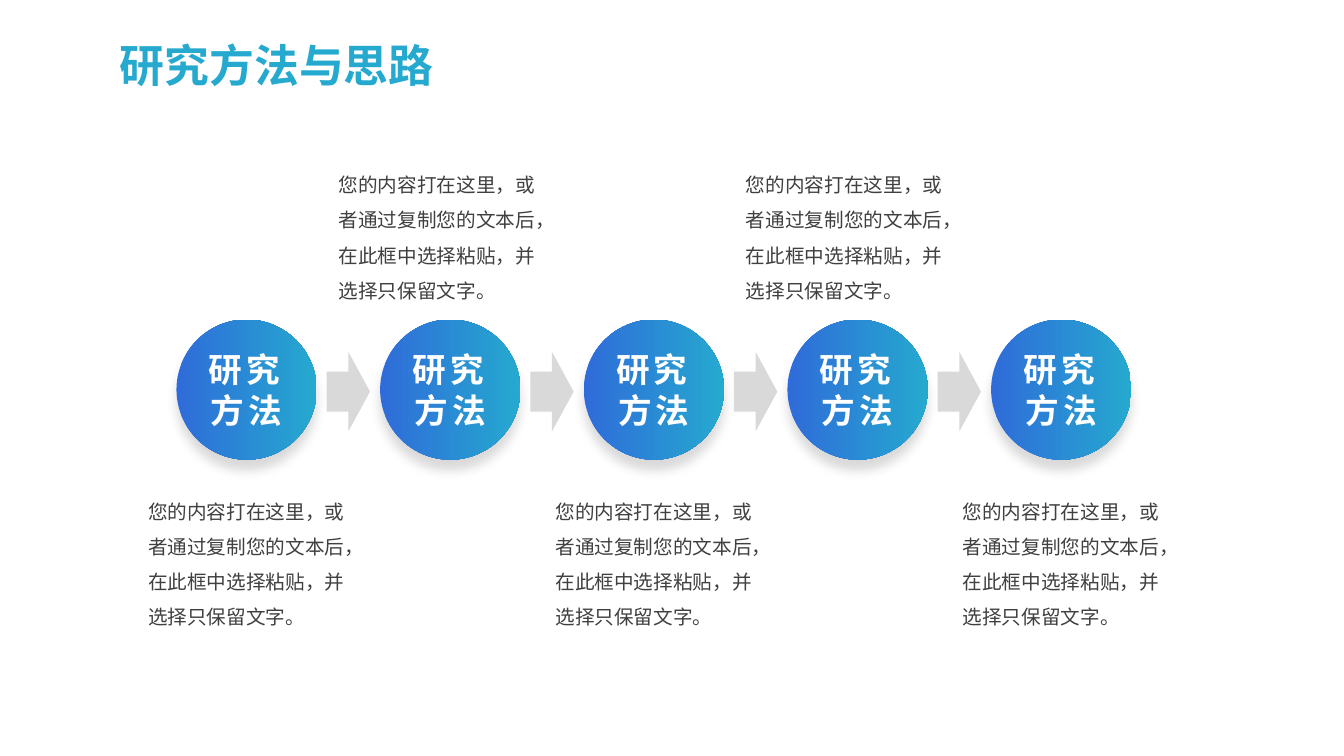
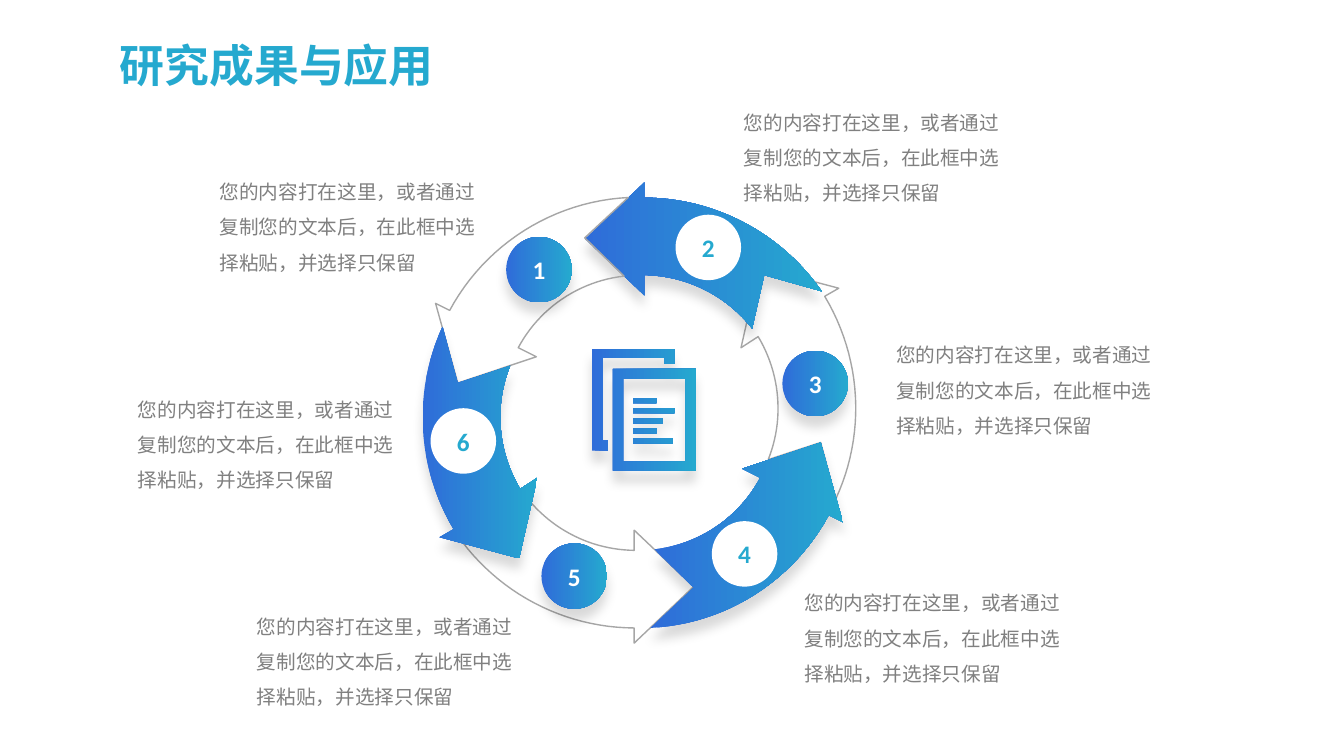
from dataclasses import dataclass, field
from math import atan2, cos, hypot, pi, sin, tau

from lxml.etree import SubElement
from pptx import Presentation
from pptx.dml.color import RGBColor
from pptx.enum.lang import MSO_LANGUAGE_ID as Language
from pptx.enum.shapes import MSO_SHAPE as Preset
from pptx.enum.text import MSO_ANCHOR as Anchor, MSO_AUTO_SIZE as AutoSize, PP_ALIGN as Align
from pptx.oxml.ns import qn
from pptx.util import Emu, Pt

Point = tuple[float, float]

PX = 9144  # EMU in one px, 100 px to the inch
BLUE, TEAL, WHITE = "2F6CD9", "25A9CF", "FFFFFF"
DARK, MID, OUTLINE, PALE = "404040", "808080", "A6A6A6", "D9D9D9"
CJK, LATIN = "Noto Sans CJK SC", "Calibri"


@dataclass(frozen=True)
class TextStyle:
    color: str
    font: dict
    paragraph: dict = field(default_factory=dict)
    frame: dict = field(default_factory=dict)
    tracking: int = 0  # hundredths of a point


GROW = {"auto_size": AutoSize.SHAPE_TO_FIT_TEXT}
CENTERED = {"alignment": Align.CENTER}
IN_CIRCLE = {"vertical_anchor": Anchor.MIDDLE, "word_wrap": True, "margin_left": 0,
             "margin_right": 0, "margin_top": 0, "margin_bottom": 0}
BODY_FONT = {"size": Pt(14), "name": CJK}
BODY_FRAME = GROW | {"word_wrap": True}
BADGE_FONT = {"size": Pt(18), "name": LATIN, "bold": True}

TITLE = TextStyle(TEAL, {"size": Pt(32), "name": CJK, "bold": True},
                  frame=GROW | {"word_wrap": False})
STEP = TextStyle(WHITE, {"size": Pt(24), "name": CJK, "bold": True},
                 CENTERED, IN_CIRCLE, tracking=300)
STEP_BODY = TextStyle(DARK, BODY_FONT, {"line_spacing": 1.5}, BODY_FRAME)
RING_BODY = TextStyle(MID, BODY_FONT, {"line_spacing": 1.5}, BODY_FRAME)
BADGE_ON_WHITE = TextStyle(WHITE, BADGE_FONT, CENTERED, IN_CIRCLE)
BADGE_ON_BLUE = TextStyle(TEAL, BADGE_FONT, CENTERED, IN_CIRCLE)

STEP_TEXT = "您的内容打在这里，或者通过复制您的文本后，在此框中选择粘贴，并选择只保留文字。"
RING_TEXT = "您的内容打在这里，或者通过复制您的文本后，在此框中选择粘贴，并选择只保留"

STEP_COUNT, STEP_LEFT, STEP_PITCH = 5, 175, 202
RING_CENTER: Point = (634, 409.5)
ARC_STEPS = 24


@dataclass(frozen=True)
class RingArrow:
    """Corners of a curved arrow, counter-clockwise from the tail's outer corner."""
    outer_tail: Point
    outer_neck: Point
    outer_barb: Point
    tip: Point
    inner_barb: Point
    inner_neck: Point
    inner_tail: Point
    notch: Point

    def outline(self) -> list[Point]:
        return [*arc(self.outer_tail, self.outer_neck), self.outer_barb, self.tip,
                self.inner_barb, *arc(self.inner_neck, self.inner_tail), self.notch]


@dataclass(frozen=True)
class RingItem:
    number: int
    badge: tuple[int, int]
    note: tuple[int, int]

    @property
    def filled(self) -> bool:
        return self.number % 2 == 0


RING_ARROWS = {
    1: RingArrow((623, 196), (446, 308), (432, 301), (454, 380),
                 (532, 354), (514, 345), (619, 274), (580, 236)),
    2: RingArrow((815, 289), (639, 196), (639, 181), (580, 237),
                 (639, 293), (639, 273), (746, 326), (758, 273)),
    3: RingArrow((829, 495), (818, 294), (832, 286), (753, 265),
                 (735, 345), (752, 334), (762, 456), (814, 439)),
}
RING_ITEMS = [  # back to front
    RingItem(3, (776, 348), (879, 324)),
    RingItem(2, (670, 213), (728, 93)),
    RingItem(5, (537, 539), (245, 593)),
    RingItem(1, (502, 235), (208, 162)),
    RingItem(4, (706, 517), (788, 570)),
    RingItem(6, (427, 405), (127, 378)),
]


def px(*lengths: float) -> list[Emu]:
    return [Emu(round(length * PX)) for length in lengths]


def rgb(color: str) -> RGBColor:
    return RGBColor.from_string(color)


def arc(start: Point, end: Point) -> list[Point]:
    """Points around the ring's centre, turning the shorter way."""
    center_x, center_y = RING_CENTER
    (angle, radius), (end_angle, end_radius) = [
        (atan2(y - center_y, x - center_x), hypot(x - center_x, y - center_y))
        for x, y in (start, end)]
    turn = (end_angle - angle + pi) % tau - pi
    points = []
    for step in range(ARC_STEPS + 1):
        share = step / ARC_STEPS
        reach = radius + share * (end_radius - radius)
        points.append((center_x + reach * cos(angle + share * turn),
                       center_y + reach * sin(angle + share * turn)))
    return points


def opposite(points: list[Point]) -> list[Point]:
    """The points turned half a circle about the ring's centre."""
    center_x, center_y = RING_CENTER
    return [(2 * center_x - x, 2 * center_y - y) for x, y in points]


def box(left: int, top: int, width: int, height: int) -> list[Point]:
    right, bottom = left + width, top + height
    return [(left, top), (left, bottom), (right, bottom), (right, top)]


def set_all(target, values: dict) -> None:
    for name, value in values.items():
        setattr(target, name, value)


def write(shape, text: str, style: TextStyle) -> None:
    set_all(shape.text_frame, style.frame)
    paragraph = shape.text_frame.paragraphs[0]
    set_all(paragraph, style.paragraph)
    run = paragraph.add_run()
    run.text = text
    set_all(run.font, style.font)
    run.font.language_id = Language.SIMPLIFIED_CHINESE
    run.font.color.rgb = rgb(style.color)
    properties = run.font._element
    if style.tracking:
        properties.set("spc", str(style.tracking))
    SubElement(properties, qn("a:ea"), typeface=style.font["name"])


def add_text(slide, left: int, top: int, width: int, height: int,
             text: str, style: TextStyle) -> None:
    write(slide.shapes.add_textbox(*px(left, top, width, height)), text, style)


def paint(shape, fill: str | None = None, line: str | None = None) -> None:
    shape.shadow.inherit = False
    if fill:
        shape.fill.solid()
        shape.fill.fore_color.rgb = rgb(fill)
    else:
        shape.fill.background()
    if line:
        shape.line.color.rgb = rgb(line)
        shape.line.width = Pt(1)
    else:
        shape.line.fill.background()


def paint_gradient(shape) -> None:
    """Blue to teal from left to right, with a soft shadow below."""
    paint(shape)
    shape.fill.gradient()
    shape.fill.gradient_angle = 0
    for stop, color in zip(shape.fill.gradient_stops, (BLUE, TEAL)):
        stop.color.rgb = rgb(color)
    effects = shape.element.spPr.find(qn("a:effectLst"))
    shadow = SubElement(effects, qn("a:outerShdw"), blurRad=str(Pt(8)), dist=str(Pt(8)),
                        dir="5400000", algn="t", rotWithShape="0")
    shadow_color = SubElement(shadow, qn("a:srgbClr"), val="000000")
    SubElement(shadow_color, qn("a:alpha"), val="15000")


def add_preset(slide, preset: Preset, left: int, top: int, width: int, height: int):
    return slide.shapes.add_shape(preset, *px(left, top, width, height))


def add_outline(slide, *contours: list[Point]):
    """One freeform made of closed contours."""
    builder = None
    for contour in contours:
        start, *rest = [px(*point) for point in contour]
        if builder is None:
            builder = slide.shapes.build_freeform(*start, scale=1.0)
        else:
            builder.move_to(*start)
        builder.add_line_segments(rest, close=True)
    return builder.convert_to_shape()


def add_titled_slide(presentation, title: str):
    slide = presentation.slides.add_slide(presentation.slide_layouts[6])
    add_text(slide, 109, 33, 343, 64, title, TITLE)
    return slide


def add_methods_slide(presentation) -> None:
    slide = add_titled_slide(presentation, "研究方法与思路")
    for index in range(STEP_COUNT):
        shift = index * STEP_PITCH
        circle = add_preset(slide, Preset.OVAL, STEP_LEFT + shift, 317, 139, 139)
        paint_gradient(circle)
        write(circle, "研究方法", STEP)
        note_left, note_top = (124, 155) if index % 2 else (137, 479)
        add_text(slide, note_left + shift, note_top, 215, 151, STEP_TEXT, STEP_BODY)
        if index < STEP_COUNT - 1:
            arrow = add_preset(slide, Preset.RIGHT_ARROW, 324 + shift, 349, 43, 79)
            paint(arrow, fill=PALE)


def add_document_icon(slide) -> None:
    back_page = [(587, 346), (587, 447), (603, 447), (603, 437), (598, 437), (598, 355),
                 (659, 355), (659, 361), (669, 361), (669, 346)]
    text_lines = [box(628, 395 + 10 * row, width, 5)
                  for row, width in enumerate((23, 41, 29, 23, 39))]
    icon = add_outline(slide, back_page, box(608, 366, 82, 101),
                       box(618, 376, 62, 82)[::-1], *text_lines)
    paint_gradient(icon)


def add_results_slide(presentation) -> None:
    slide = add_titled_slide(presentation, "研究成果与应用")
    for item in RING_ITEMS:
        if item.number in RING_ARROWS:
            outline = RING_ARROWS[item.number].outline()
        else:
            outline = opposite(RING_ARROWS[item.number - 3].outline())
        arrow = add_outline(slide, outline)
        if item.filled:
            paint_gradient(arrow)
        else:
            paint(arrow, line=OUTLINE)
    for item in RING_ITEMS:
        badge = add_preset(slide, Preset.OVAL, *item.badge, 65, 65)
        if item.filled:
            paint(badge, fill=WHITE)
        else:
            paint_gradient(badge)
        write(badge, str(item.number), BADGE_ON_BLUE if item.filled else BADGE_ON_WHITE)
        add_text(slide, *item.note, 281, 116, RING_TEXT, RING_BODY)
    add_document_icon(slide)


def main() -> None:
    presentation = Presentation()
    presentation.slide_width, presentation.slide_height = px(1333, 750)
    add_methods_slide(presentation)
    add_results_slide(presentation)
    presentation.save("out.pptx")


if __name__ == "__main__":
    main()
